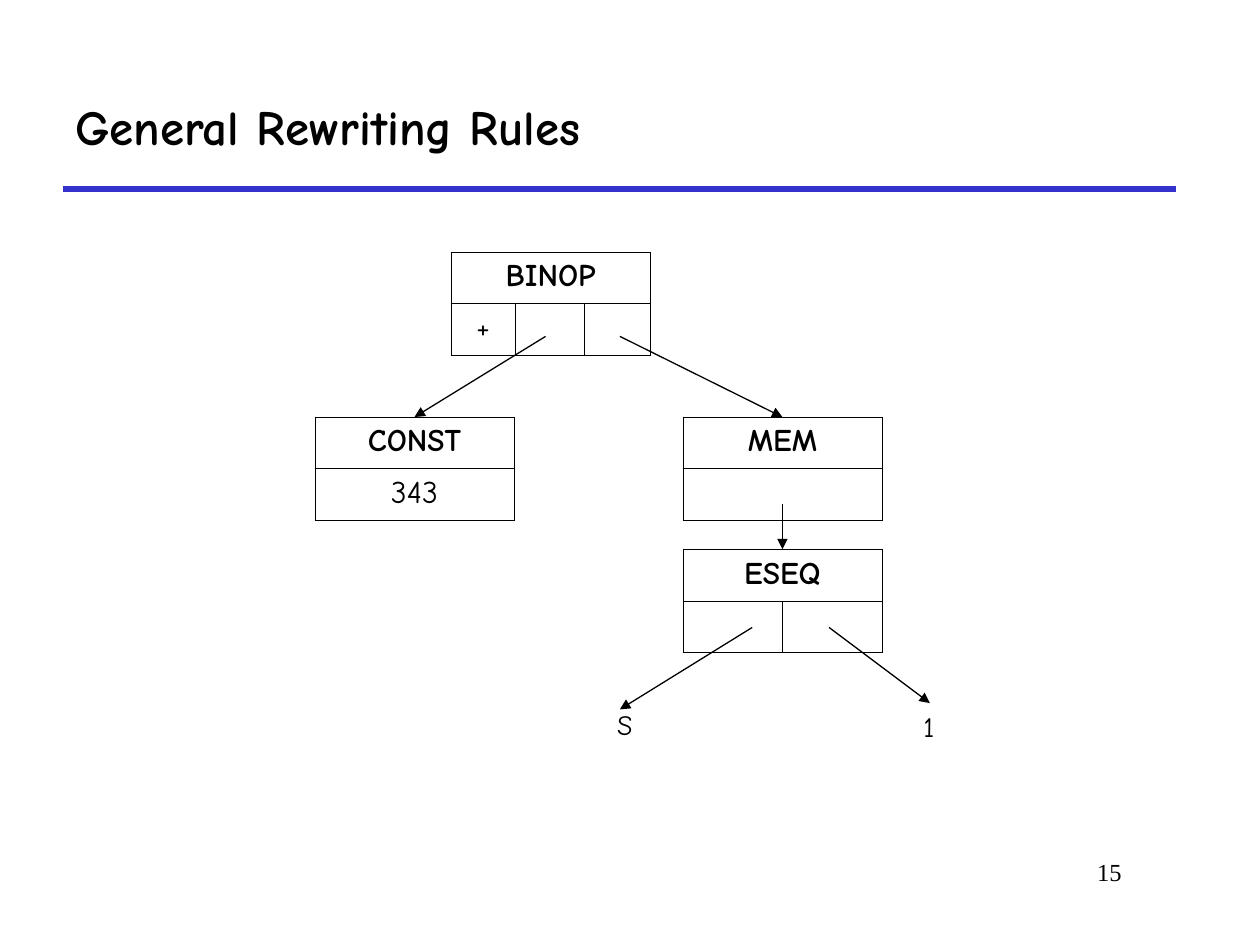
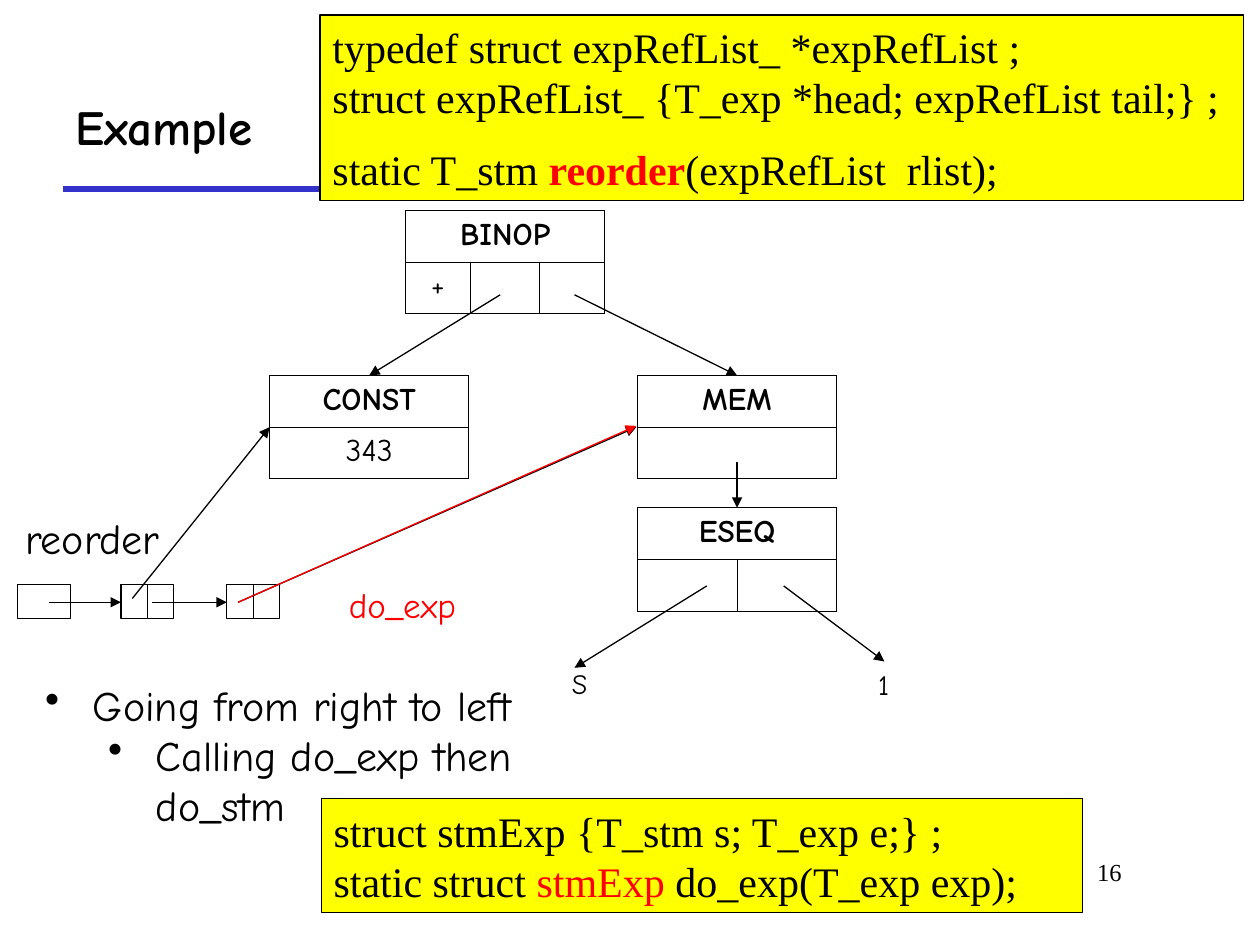
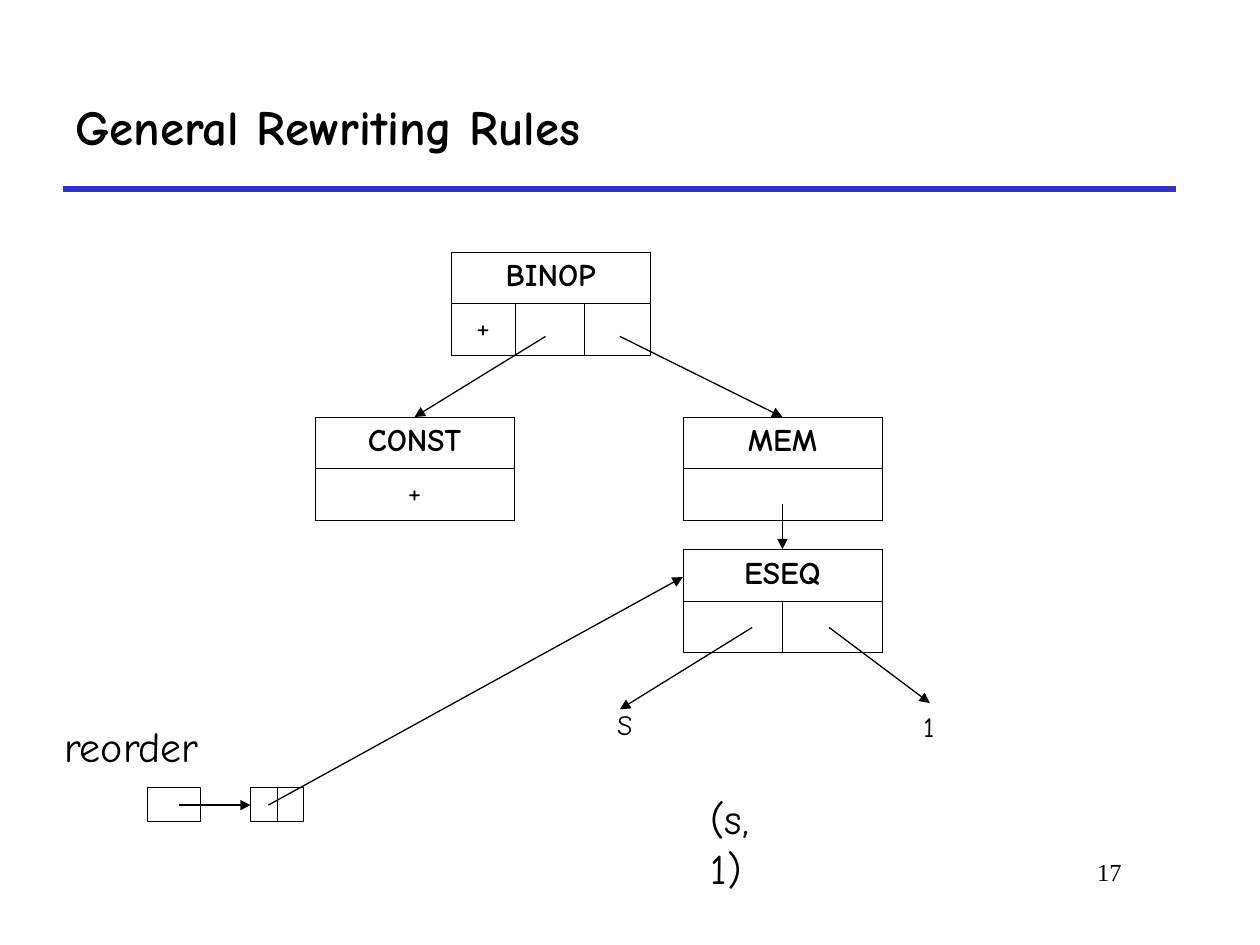
from lxml.etree import SubElement
from pptx import Presentation
from pptx.dml.color import RGBColor
from pptx.enum.shapes import MSO_CONNECTOR, MSO_SHAPE
from pptx.enum.text import MSO_ANCHOR, MSO_AUTO_SIZE, PP_ALIGN
from pptx.oxml.ns import qn
from pptx.util import Inches, Pt

COLORS = {"ink": "000000", "rule": "3333CC", "accent": "FF0000", "code": "FFFF00"}
COMIC, TIMES = "Comic Neue", "Times New Roman"
TITLE = {"name": COMIC, "size": Pt(28), "bold": True}
NUMBER = {"name": TIMES, "size": Pt(14)}
NODE = {"name": COMIC, "size": Pt(18)}
LEAF = {"name": COMIC, "size": Pt(16)}
CALL = {"name": COMIC, "size": Pt(20), "color": "accent"}
BODY = {"name": COMIC, "size": Pt(24)}
CODE = {"name": TIMES, "size": Pt(24)}
FITTED = {"word_wrap": False, "auto_size": MSO_AUTO_SIZE.SHAPE_TO_FIT_TEXT}
WRAPPED = {"word_wrap": True}

ROW = 0.41
CELL_W, CELL_H = 0.42, 0.27


def write(frame, paragraphs, style, layout=None, align=None):
    """Fill a text frame; a paragraph is a string or a list of (text, style changes)."""
    for key, value in (layout or {}).items():
        setattr(frame, key, value)
    for index, runs in enumerate(paragraphs):
        paragraph = frame.add_paragraph() if index else frame.paragraphs[0]
        paragraph.alignment = align or PP_ALIGN.LEFT
        for text, changes in [(runs, {})] if isinstance(runs, str) else runs:
            run = paragraph.add_run()
            run.text = text
            font = {"color": "ink", **style, **changes}
            run.font.color.rgb = RGBColor.from_string(COLORS[font.pop("color")])
            for key, value in font.items():
                setattr(run.font, key, value)


def add_line(slide, start, end, color="ink", width=0.75, arrow=True):
    line = slide.shapes.add_connector(
        MSO_CONNECTOR.STRAIGHT, *(Inches(v) for v in (*start, *end)))
    line.line.color.rgb = RGBColor.from_string(COLORS[color])
    line.line.width = Pt(width)
    properties = line._element.spPr
    if arrow:
        SubElement(properties.find(qn("a:ln")), qn("a:tailEnd"), type="triangle")
    SubElement(properties, qn("a:effectLst"))


# Tree at its usual place: left, top, column widths, heading, fields
tree_nodes = [
    (3.58, 2, [0.51, 0.55, 0.52], "BINOP", ["+"]),
    (2.5, 3.31, [1.58], "CONST", ["343"]),
    (5.42, 3.31, [1.58], "MEM", []),
    (5.42, 4.36, [0.79, 0.79], "ESEQ", []),
]
tree_arrows = [
    ((4.33, 2.67), (3.29, 3.31)), ((4.92, 2.67), (6.21, 3.31)),
    ((6.21, 4), (6.21, 4.36)),
    ((5.97, 4.98), (4.92, 5.63)), ((6.58, 4.98), (7.38, 5.58)),
]
tree_leaves = [("S", 4.8, 5.57, 0.32), ("1", 7.23, 5.58, 0.29)]

slides = [
    {"title": "General Rewriting Rules"},
    {
        "title": "Example",
        "shift": (-0.36, -0.33),
        "list": ([0.14, 0.96, 1.8], 4.64),
        "pointers": [((1.05, 4.75), (2.14, 3.39), "ink"),
                     ((1.89, 4.78), (5.05, 3.39), "ink"),
                     ((1.89, 4.78), (5.05, 3.38), "accent")],
        "labels": [("reorder", (0.1, 4.02, 1.28, 0.5), BODY),
                   ("do_exp", (2.67, 4.58, 1.05, 0.44), CALL)],
        "bullets": ["Going from right to left", "Calling do_exp then do_stm"],
        "code": [
            ((2.54, 0.12, 7.33, 1.47), [
                "typedef struct expRefList_ *expRefList ;",
                "struct expRefList_ {T_exp *head; expRefList tail;} ;",
                [("static T_stm ", {}),
                 ("reorder", {"color": "accent", "bold": True}),
                 ("(expRefList  rlist);", {})]]),
            ((2.55, 6.34, 6.04, 0.9), [
                "struct stmExp {T_stm s; T_exp e;} ;",
                [("static struct ", {}), ("stmExp", {"color": "accent"}),
                 (" do_exp(T_exp exp);", {})]]),
        ],
    },
    {
        "title": "General Rewriting Rules",
        "constant": "+",
        "list": ([1.17, 1.99], 6.25),
        "pointers": [((2.13, 6.39), (5.42, 4.58), "ink")],
        "labels": [("(s, 1)", (5.54, 6.24, 0.86, 0.5), BODY),
                   ("reorder", (0.41, 5.67, 1.28, 0.5), BODY)],
    },
]

deck = Presentation()
deck.slide_width, deck.slide_height = Inches(10), Inches(7.5)

for number, content in enumerate(slides, start=15):
    slide = deck.slides.add_slide(deck.slide_layouts[6])
    shapes = slide.shapes

    # Rule, page number and title
    add_line(slide, (0.5, 1.5), (9.33, 1.5), "rule", 3, arrow=False)
    page = shapes.add_textbox(Inches(6.92), Inches(6.75), Inches(2.08), Inches(0.5))
    write(page.text_frame, [str(number)], NUMBER, WRAPPED, PP_ALIGN.RIGHT)
    title = shapes.add_textbox(Inches(0.5), Inches(0.5), Inches(8.83), Inches(1))
    write(title.text_frame, [content["title"]], TITLE,
          {**WRAPPED, "vertical_anchor": MSO_ANCHOR.MIDDLE})

    # Expression tree
    dx, dy = content.get("shift", (0, 0))
    for left, top, widths, heading, fields in tree_nodes:
        node = shapes.add_table(
            2, len(widths), Inches(left + dx), Inches(top + dy),
            Inches(sum(widths)), Inches(2 * ROW)).table
        node.first_row = node.horz_banding = False
        for column, width in zip(node.columns, widths):
            column.width = Inches(width)
        for row in node.rows:
            row.height = Inches(ROW)
        for cell in node.iter_cells():
            borders = cell._tc.get_or_add_tcPr()
            for side in ("a:lnL", "a:lnR", "a:lnT", "a:lnB"):
                border = SubElement(borders, qn(side), w=str(Pt(0.45)))
                ink = SubElement(border, qn("a:solidFill"))
                SubElement(ink, qn("a:srgbClr"), val=COLORS["ink"])
            cell.fill.background()
        if len(widths) > 1:
            node.cell(0, 0).merge(node.cell(0, len(widths) - 1))
        write(node.cell(0, 0).text_frame, [heading], {**NODE, "bold": True},
              align=PP_ALIGN.CENTER)
        if heading == "CONST":
            fields = [content.get("constant", fields[0])]
        for index, field in enumerate(fields):
            write(node.cell(1, index).text_frame, [field], NODE, align=PP_ALIGN.CENTER)
    for start, end in tree_arrows:
        add_line(slide, (start[0] + dx, start[1] + dy), (end[0] + dx, end[1] + dy))
    for leaf, left, top, width in tree_leaves:
        box = shapes.add_textbox(
            Inches(left + dx), Inches(top + dy), Inches(width), Inches(0.37))
        write(box.text_frame, [leaf], LEAF, FITTED)

    # Linked list: a head cell, then two-part cells
    lefts, top = content.get("list", ([], 0))
    for index, left in enumerate(lefts):
        cell = shapes.add_shape(MSO_SHAPE.RECTANGLE, Inches(left), Inches(top),
                                Inches(CELL_W), Inches(CELL_H))
        cell.shadow.inherit = False
        cell.fill.background()
        cell.line.color.rgb = RGBColor.from_string(COLORS["ink"])
        cell.line.width = Pt(0.75)
        if index:
            middle = left + CELL_W / 2
            add_line(slide, (middle, top), (middle, top + CELL_H), arrow=False)
    for left, following in zip(lefts, lefts[1:]):
        add_line(slide, (left + 0.25, top + 0.14), (following, top + 0.14))
    for start, end, color in content.get("pointers", []):
        add_line(slide, start, end, color)

    for label, place, style in content.get("labels", []):
        box = shapes.add_textbox(*(Inches(v) for v in place))
        write(box.text_frame, [label], style, FITTED)

    if "bullets" in content:
        steps = shapes.add_textbox(Inches(0.26), Inches(5.34), Inches(5.04), Inches(0.9))
        write(steps.text_frame, content["bullets"], BODY, FITTED)
        for level, step in enumerate(steps.text_frame.paragraphs):
            step.level = level
            indents = step._p.get_or_add_pPr()
            indents.set("marL", str(Inches(0.38 + 0.5 * level)))
            indents.set("indent", str(Inches(-0.38)))
            SubElement(indents, qn("a:buChar"), char="•")

    for place, lines in content.get("code", []):
        listing = shapes.add_shape(MSO_SHAPE.RECTANGLE, *(Inches(v) for v in place))
        listing.shadow.inherit = False
        listing.fill.solid()
        listing.fill.fore_color.rgb = RGBColor.from_string(COLORS["code"])
        listing.line.color.rgb = RGBColor.from_string(COLORS["ink"])
        listing.line.width = Pt(0.75)
        write(listing.text_frame, lines, CODE,
              {**WRAPPED, "vertical_anchor": MSO_ANCHOR.TOP})
        if len(lines) > 2:
            listing.text_frame.paragraphs[1].space_after = Pt(12)

deck.save("out.pptx")
